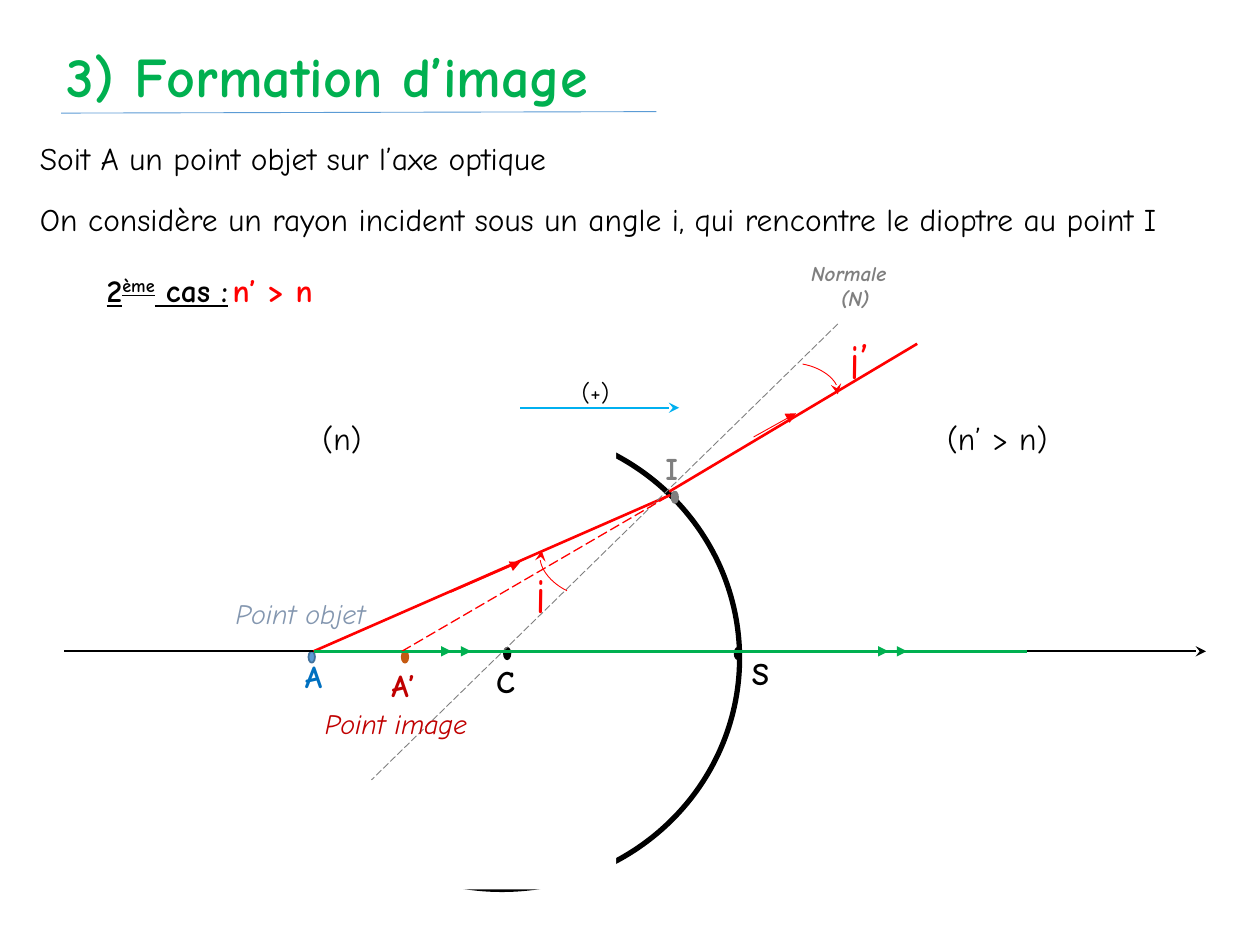
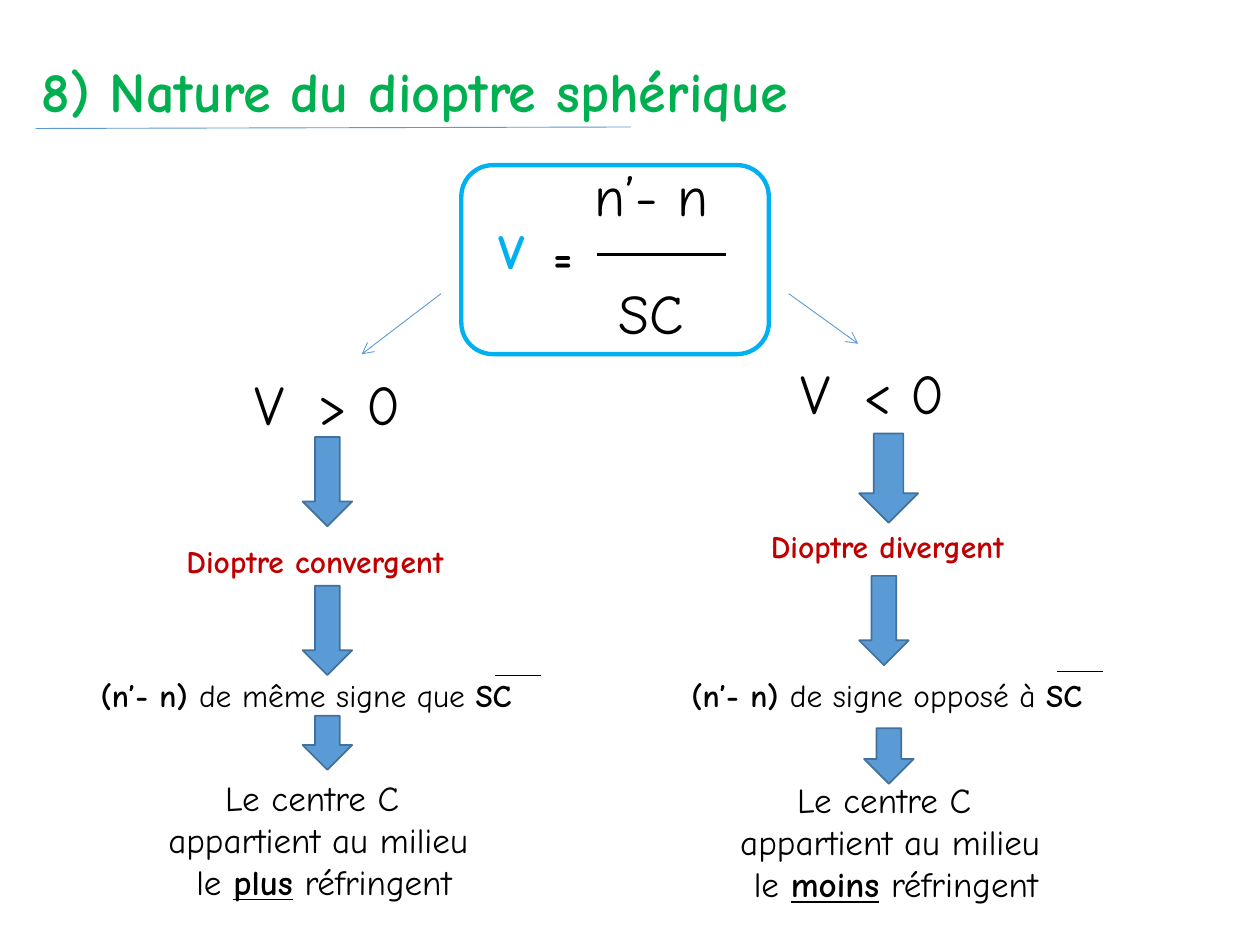
import pptx
import pptx.util
import pptx.dml.color
import pptx.enum.dml
import pptx.enum.shapes
import pptx.enum.text
import lxml.etree

Cm, Pt = pptx.util.Cm, pptx.util.Pt
SHAPE = pptx.enum.shapes.MSO_SHAPE
ALIGN = pptx.enum.text.PP_ALIGN
DASH = pptx.enum.dml.MSO_LINE.LONG_DASH
FACE = "Comic Neue"
COLORS = {
    "black": "000000", "white": "FFFFFF", "green": "00B050", "red": "FF0000",
    "dark": "C00000", "cyan": "00B0F0", "gray": "7F7F7F", "blue": "5B9BD5",
    "edge": "41719C", "navy": "0070C0", "rust": "C55A11", "steel": "8497B0",
}
BOLD, UNDER = {"bold": True}, {"bold": True, "underline": True}

# ---- Slide 1 content (lengths in cm) ----
TITLE1 = ("3) Formation d’image", 1.09, 0.71)
INTRO = [
    "Soit A un point objet sur l’axe optique",
    "On considère un rayon incident sous un angle i, qui rencontre le dioptre au point I",
]
AXIS = 13.13

# x1, y1, x2, y2, colour, width, arrowhead, dashed
RAYS = [
    (10.49, 8.22, 13.69, 8.22, "cyan", 1, "stealth", False),
    (1.3, AXIS, 24.31, AXIS, "black", 1.25, "stealth", False),
    (6.32, AXIS, 13.51, 9.98, "red", 1.5, None, False),
    (9.09, 11.94, 10.49, 11.33, "red", 0.5, "triangle", False),
    (16.89, 6.53, 7.49, 15.72, "gray", 0.5, None, True),
    (13.49, 9.91, 18.49, 6.93, "red", 1.5, None, False),
    (15.19, 8.81, 16.05, 8.33, "red", 0.5, "triangle", False),
    (6.32, AXIS, 20.7, AXIS, "green", 1.5, None, False),
    (8.1, AXIS, 13.46, 10.01, "red", 0.75, None, True),
]
HEADS = [7.7, 8.1, 16.51, 16.89]  # starts of the arrows along the axis

# x, y, fill, line
DOTS = [
    (14.81, 13.06, "black", "black"), (10.16, 13.06, "black", "black"),
    (6.22, AXIS, "blue", "edge"), (13.54, 9.91, "gray", "gray"),
    (8.1, AXIS, "rust", "rust"),
]

# four Bézier points of each angle mark
ANGLES = [
    [(11.43, 11.91), (11.02, 11.71), (10.8, 11.33), (10.92, 11.1)],
    [(16.18, 7.34), (16.61, 7.42), (16.94, 7.7), (16.89, 7.95)],
]

# text, x, y, width, size, colour, style, centred
LABELS = [
    ("(+)", 9.3, 7.47, 5.41, 14, "black", {}, True),
    ("(n’ > n)", 17.3, 8.33, 5.61, 18, "black", {}, True),
    ("(n)", 4.09, 8.33, 5.61, 18, "black", {}, True),
    ("S", 14.91, 13.06, 1.88, 18, "black", BOLD, False),
    ("C", 9.75, 13.23, 1.88, 18, "black", BOLD, False),
    ("A", 4.29, 13.13, 4.06, 18, "navy", BOLD, True),
    ("A’", 6.1, 13.31, 4.06, 18, "dark", BOLD, True),
    ("I", 11.51, 8.92, 4.06, 18, "gray", BOLD, True),
    ("i", 8.1, 11.25, 5.61, 28, "red", {}, True),
    ("i’", 14.5, 6.53, 5.64, 28, "red", {}, True),
    ("Point objet", 4.5, 11.91, 4.8, 16, "steel", {"italic": True}, False),
    ("Point image", 6.3, 14.12, 4.8, 16, "dark", {"italic": True}, False),
]
CASE = [("2", UNDER), ("ème", {**UNDER, "raised": True}), (" cas :", UNDER),
        ("\t", {}), ("n’ > n", {"bold": True, "color": "red"})]

# ---- Slide 2 content ----
TITLE2 = ("8) Nature du dioptre sphérique", 0.58, 1.02)
BRANCHES = [
    {
        "link": (8.89, 5.92, 7.29, 7.14),
        "test": ("V\t> 0", 5.13, 7.32),
        "kind": ("Dioptre convergent", 3.51, 10.8),
        "sign": ("de même signe que ", 1.78, 13.51),
        "bar": (9.98, 13.61),
        "end": ("plus", 1.22, 15.52),
        "arrows": [(6.1, 8.81, 1, 1.8), (6.1, 11.81, 1, 1.8), (6.1, 14.43, 1, 1.09)],
    },
    {
        "link": (15.9, 5.92, 17.3, 6.93),
        "test": ("V\t< 0", 16.13, 7.11),
        "kind": ("Dioptre divergent", 15.29, 10.49),
        "sign": ("de signe opposé à ", 13.69, 13.51),
        "bar": (21.31, 13.54),
        "end": ("moins", 12.75, 15.57),
        "arrows": [(17.32, 8.74, 1.19, 1.8), (17.32, 11.61, 1, 1.8),
                   (17.42, 14.68, 1, 1.12)],
    },
]


# ---- Helpers ----
def rgb(name):
    return pptx.dml.color.RGBColor.from_string(COLORS[name])


def child(node, tag, **attrs):
    return lxml.etree.SubElement(node, pptx.oxml.ns.qn(tag), attrs)


def style(font, size=None, color=None, bold=None, italic=None, underline=None):
    if size:
        font.size = Pt(size)
        font.name = FACE
    if color:
        font.color.rgb = rgb(color)
    for key, value in (("bold", bold), ("italic", italic), ("underline", underline)):
        if value is not None:
            setattr(font, key, value)


def write(frame, paras, size, color, look=None, center=False, gap=0, tab=None):
    """Fill a frame; a paragraph is a string or a list of (text, style) runs."""
    frame.word_wrap = True
    frame.auto_size = pptx.enum.text.MSO_AUTO_SIZE.NONE
    frame.vertical_anchor = pptx.enum.text.MSO_ANCHOR.TOP
    for n, runs in enumerate(paras):
        para = frame.add_paragraph() if n else frame.paragraphs[0]
        props = para._p.get_or_add_pPr()
        props.set("marL", "0")
        props.set("indent", "0")
        child(props, "a:buNone")
        if tab:
            stops = child(props, "a:tabLst")
            child(stops, "a:tab", pos=str(Cm(tab)), algn="l")
        para.alignment = ALIGN.CENTER if center else ALIGN.LEFT
        para.space_before = Pt(gap if n else 0)
        style(para.font, size, color, **(look or {}))
        for words, extra in [(runs, {})] if isinstance(runs, str) else runs:
            run = para.add_run()
            run.text = words
            extra = dict(extra)
            if extra.pop("raised", False):
                run._r.get_or_add_rPr().set("baseline", "30000")
            style(run.font, **extra)


def text(slide, paras, x, y, w, size, color="black", look=None, center=False,
         gap=0, tab=None):
    tall = Pt(size * 1.2 * len(paras) + gap * (len(paras) - 1)) + Cm(0.25)
    box = slide.shapes.add_textbox(Cm(x), Cm(y), Cm(w), tall)
    write(box.text_frame, paras, size, color, look, center, gap, tab)
    return box


def head(item, kind):
    child(item.line._get_or_add_ln(), "a:tailEnd", type=kind)


def line(slide, x1, y1, x2, y2, color, width, tip=None, dash=False):
    item = slide.shapes.add_connector(
        pptx.enum.shapes.MSO_CONNECTOR.STRAIGHT, Cm(x1), Cm(y1), Cm(x2), Cm(y2))
    item.line.color.rgb = rgb(color)
    item.line.width = Pt(width)
    if dash:
        item.line.dash_style = DASH
    if tip:
        head(item, tip)
    child(item._element.spPr, "a:effectLst")


def paint(item, fill, edge, width=1):
    item.shadow.inherit = False
    if fill:
        item.fill.solid()
        item.fill.fore_color.rgb = rgb(fill)
    else:
        item.fill.background()
    if edge:
        item.line.color.rgb = rgb(edge)
        item.line.width = Pt(width)
    else:
        item.line.fill.background()


def shape(slide, kind, x, y, w, h, fill, edge, width=1):
    item = slide.shapes.add_shape(kind, Cm(x), Cm(y), Cm(w), Cm(h))
    paint(item, fill, edge, width)


def curve(slide, ends, steps=16):
    spots = []
    for n in range(steps + 1):
        t = n / steps
        parts = ((1 - t) ** 3, 3 * t * (1 - t) ** 2, 3 * t * t * (1 - t), t ** 3)
        spots.append([Cm(sum(k * p[axis] for k, p in zip(parts, ends)))
                      for axis in (0, 1)])
    pen = slide.shapes.build_freeform(*spots[0])
    pen.add_line_segments(spots[1:], close=False)
    item = pen.convert_to_shape()
    paint(item, None, "red", 0.5)
    head(item, "stealth")


def place(item, x, y, w, h):
    item.left, item.top, item.width, item.height = Cm(x), Cm(y), Cm(w), Cm(h)


def start(deck, layout, title):
    """New slide with its title and the rule under it."""
    slide = deck.slides.add_slide(deck.slide_layouts[layout])
    words, x, y = title
    place(slide.shapes.title, x, y, 23.7, 1.63)
    write(slide.shapes.title.text_frame, [words], 32, "green", BOLD)
    line(slide, x + 0.14, y + 1.57, x + 12.14, y + 1.54, "blue", 0.5)
    return slide


# ---- Slides ----
def image(deck):
    slide = start(deck, 1, TITLE1)
    body = slide.placeholders[1]
    place(body, 0.55, 2.67, 24.6, 2.3)
    write(body.text_frame, INTRO, 18, "black", gap=13.5)

    # Spherical surface: a circle with its left part hidden
    shape(slide, SHAPE.OVAL, 5.33, 8.61, 9.58, 9.32, "white", "black", 3)
    shape(slide, SHAPE.RECTANGLE, 4.7, 8.53, 7.72, 9.4, "white", None)

    # Points, rays and angles
    for x, y, fill, edge in DOTS:
        shape(slide, SHAPE.OVAL, x, y, 0.13, 0.23, fill, edge)
    for ray in RAYS:
        line(slide, *ray)
    for x in HEADS:
        line(slide, x, AXIS, x + 1.4, AXIS, "green", 0.75, "triangle")
    for ends in ANGLES:
        curve(slide, ends)

    # Labels
    for words, *rest in LABELS:
        text(slide, [words], *rest)
    text(slide, [CASE], 1.9, 5.33, 5.99, 18, tab=2.88)
    note = text(slide, ["Normale", "(N)"], 16.1, 5.13, 3.99, 12, "gray",
                {"bold": True, "italic": True})
    note.text_frame.paragraphs[1]._p.pPr.set("marL", str(Cm(0.6)))


def nature(deck):
    slide = start(deck, 5, TITLE2)

    # Framed formula
    shape(slide, SHAPE.ROUNDED_RECTANGLE, 9.3, 3.33, 6.2, 3.81, None, "cyan", 2.5)
    text(slide, ["n’- n", "SC"], 11.63, 3.12, 3, 32, center=True, gap=29)
    line(slide, 12.04, 5.13, 14.63, 5.13, "black", 1.5)
    text(slide, ["="], 10.9, 4.52, 0.84, 24, look=BOLD, center=True)
    text(slide, ["V"], 9.5, 4.32, 1.64, 28, "cyan", BOLD, True)

    # The two cases
    for case in BRANCHES:
        line(slide, *case["link"], "blue", 0.5, "arrow")
        words, x, y = case["test"]
        text(slide, [words], x - 0.25, y, 6, 32, tab=1.41)
        words, x, y = case["kind"]
        text(slide, [words], x, y, 7.21, 18, "dark", BOLD)
        words, x, y = case["sign"]
        text(slide, [[("(n’- n) ", BOLD), (words, {}), ("SC", BOLD)]], x, y, 10.2, 18)
        x, y = case["bar"]
        line(slide, x, y, x + 0.93, y, "black", 0.5)
        words, x, y = case["end"]
        text(slide, ["Le centre C ", "appartient au milieu",
                     [(" le ", {}), (words, UNDER), (" réfringent", {})]],
             x, y, 10.39, 20, center=True)
        for spot in case["arrows"]:
            shape(slide, SHAPE.DOWN_ARROW, *spot, "blue", "edge")


def main():
    deck = pptx.Presentation()
    deck.slide_width, deck.slide_height = Cm(25.4), Cm(19.05)
    image(deck)
    nature(deck)
    deck.save("out.pptx")


if __name__ == "__main__":
    main()
